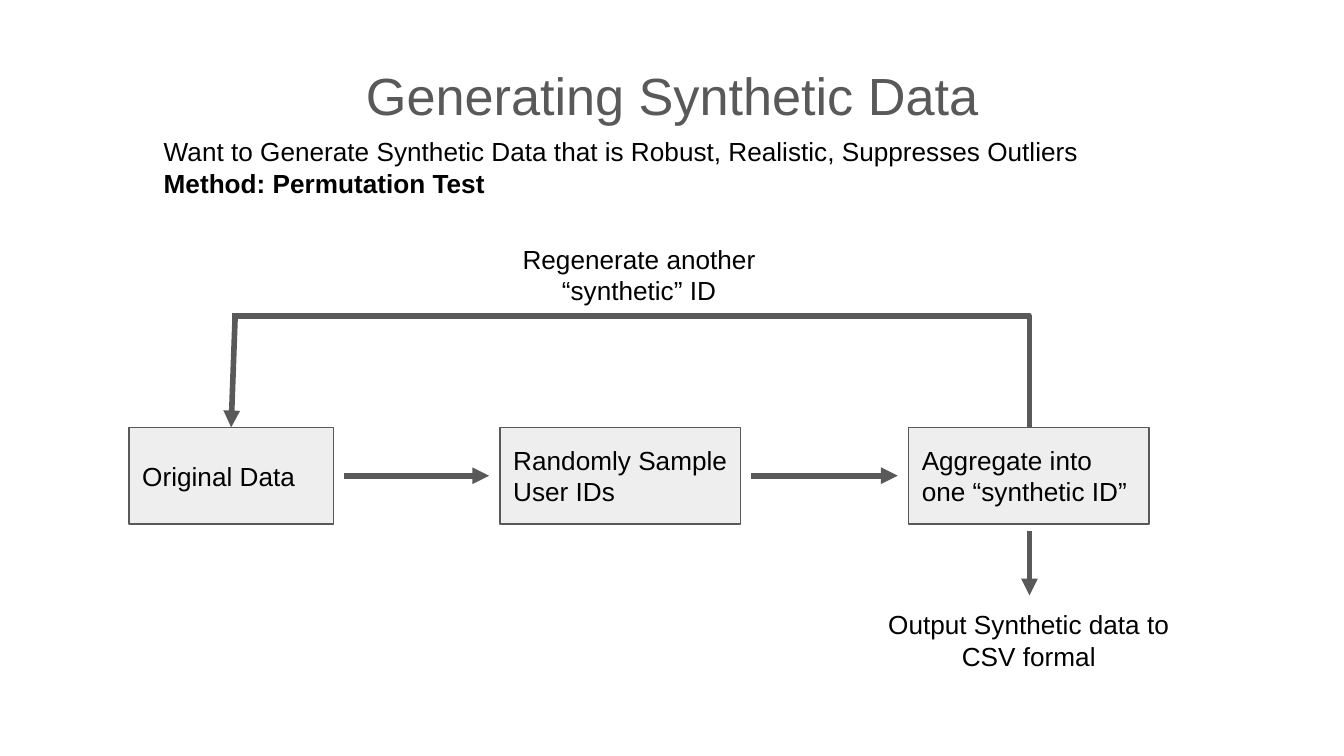
import pptx
import pptx.util
import pptx.dml.color
import pptx.enum.shapes
import pptx.enum.text
import pptx.oxml.ns
import lxml.etree

Inches = pptx.util.Inches
Align = pptx.enum.text.PP_ALIGN
Anchor = pptx.enum.text.MSO_ANCHOR
Connector = pptx.enum.shapes.MSO_CONNECTOR
qn = pptx.oxml.ns.qn

GRAY = pptx.dml.color.RGBColor(0x59, 0x59, 0x59)
PALE = pptx.dml.color.RGBColor(0xEE, 0xEE, 0xEE)
BLACK = pptx.dml.color.RGBColor(0, 0, 0)


def write(shape, *lines, size=14, color=BLACK, align=Align.LEFT,
          anchor=Anchor.TOP, bold_last=False):
    """Fill a shape with one paragraph per line in the given format."""
    frame = shape.text_frame
    frame.word_wrap = True
    frame.auto_size = pptx.enum.text.MSO_AUTO_SIZE.NONE
    frame.vertical_anchor = anchor
    frame.margin_left = frame.margin_right = Inches(0.1)
    frame.margin_top = frame.margin_bottom = Inches(0.1)
    for index, line in enumerate(lines):
        para = frame.paragraphs[0] if index == 0 else frame.add_paragraph()
        para.alignment = align
        para.space_before = pptx.util.Pt(0)
        span = para.add_run()
        span.text = line
        span.font.name = "Arial"
        span.font.size = pptx.util.Pt(size)
        span.font.bold = bold_last and index == len(lines) - 1
        span.font.color.rgb = color


def connect(page, start, end, kind=Connector.STRAIGHT, arrow=True):
    """Draw a thick gray connector, with an arrowhead at its end if asked."""
    line = page.shapes.add_connector(kind, *map(Inches, start + end))
    line.line.color.rgb = GRAY
    line.line.width = pptx.util.Pt(3)
    if arrow:
        outline = line._element.spPr.find(qn("a:ln"))
        lxml.etree.SubElement(outline, qn("a:tailEnd"), type="triangle")
    lxml.etree.SubElement(line._element.spPr, qn("a:effectLst"))
    return line


deck = pptx.Presentation()
deck.slide_width = Inches(10)
deck.slide_height = deck.slide_width * 9 // 16
page = deck.slides.add_slide(deck.slide_layouts[5])

title = page.shapes.title
title.left, title.top = Inches(0.34), Inches(0.37)
title.width, title.height = Inches(9.32), Inches(0.87)
write(title, "Generating Synthetic Data", size=28, color=GRAY, align=Align.CENTER)

# Process steps
step_top, step_height = 3.18, 0.72
steps = [
    (0.96, 1.52, "Original Data"),
    (3.72, 1.79, "Randomly Sample User IDs"),
    (6.76, 1.79, "Aggregate into one “synthetic ID”"),
]
for left, width, label in steps:
    step = page.shapes.add_shape(
        pptx.enum.shapes.MSO_SHAPE.RECTANGLE,
        Inches(left), Inches(step_top), Inches(width), Inches(step_height))
    step.shadow.inherit = False
    step.fill.solid()
    step.fill.fore_color.rgb = PALE
    step.line.color.rgb = GRAY
    step.line.width = pptx.util.Pt(0.75)
    write(step, label, anchor=Anchor.MIDDLE)

# Free-standing text
texts = [
    ((1.12, 0.91, 7.27, 0.72), Align.LEFT, True,
     ["Want to Generate Synthetic Data that is Robust, Realistic, Suppresses Outliers",
      "Method: Permutation Test"]),
    ((3.52, 1.71, 2.47, 0.69), Align.CENTER, False, ["Regenerate another “synthetic” ID"]),
    ((6.42, 4.43, 2.47, 0.69), Align.CENTER, False, ["Output Synthetic data to CSV formal"]),
]
for place, align, bold_last, lines in texts:
    box = page.shapes.add_textbox(*map(Inches, place))
    write(box, *lines, align=align, bold_last=bold_last)

# Arrows between neighbouring steps, then out of the last one
middle = step_top + step_height / 2
for (left, width, _), (next_left, _, _) in zip(steps, steps[1:]):
    connect(page, (left + width + 0.08, middle), (next_left - 0.08, middle))
connect(page, (7.66, 3.95), (7.66, 4.43))

# Loop back: a quarter-turned single-bend elbow, then the arrow down
elbow = connect(page, (5.11, -0.2), (4.28, 5.73), kind=Connector.ELBOW, arrow=False)
elbow._element.spPr.find(qn("a:prstGeom")).set("prst", "bentConnector2")
elbow._element.spPr.find(qn("a:xfrm")).set("rot", str(90 * 60000))
connect(page, (1.75, 2.34), (1.72, step_top))

deck.save("out.pptx")
